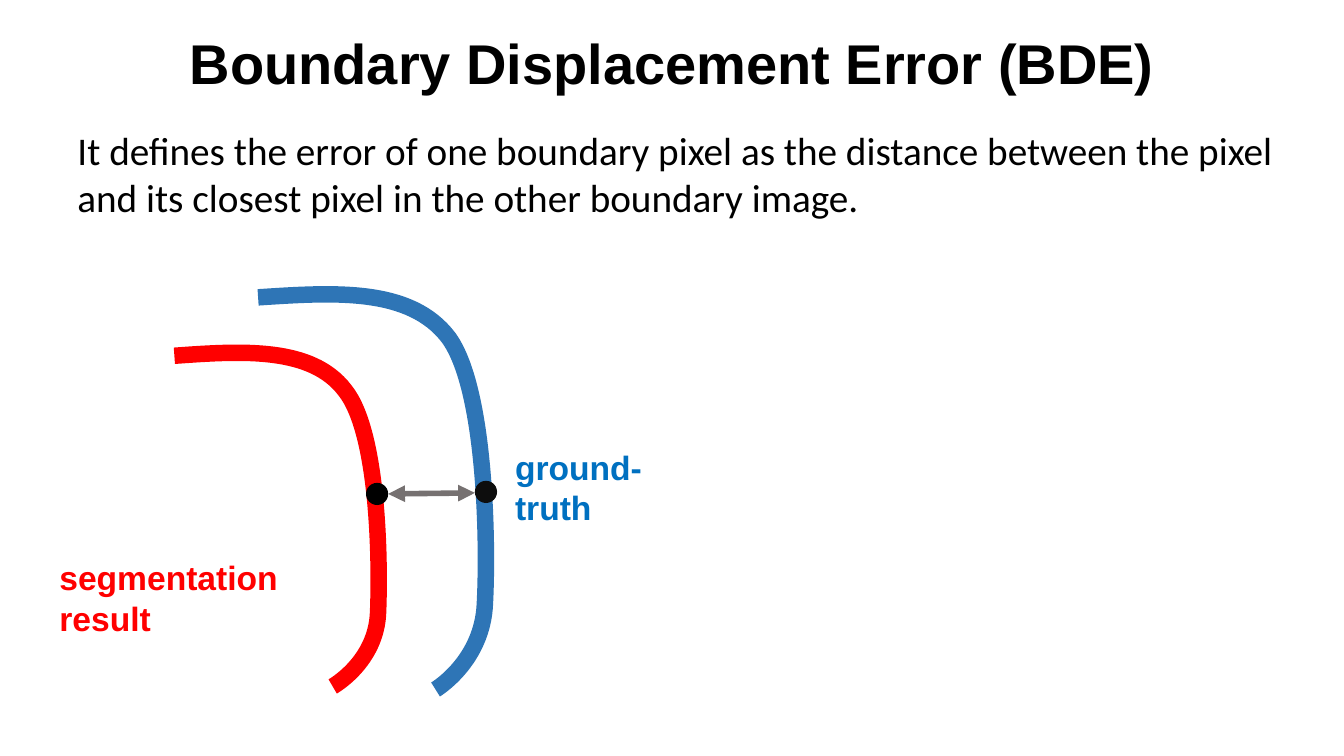
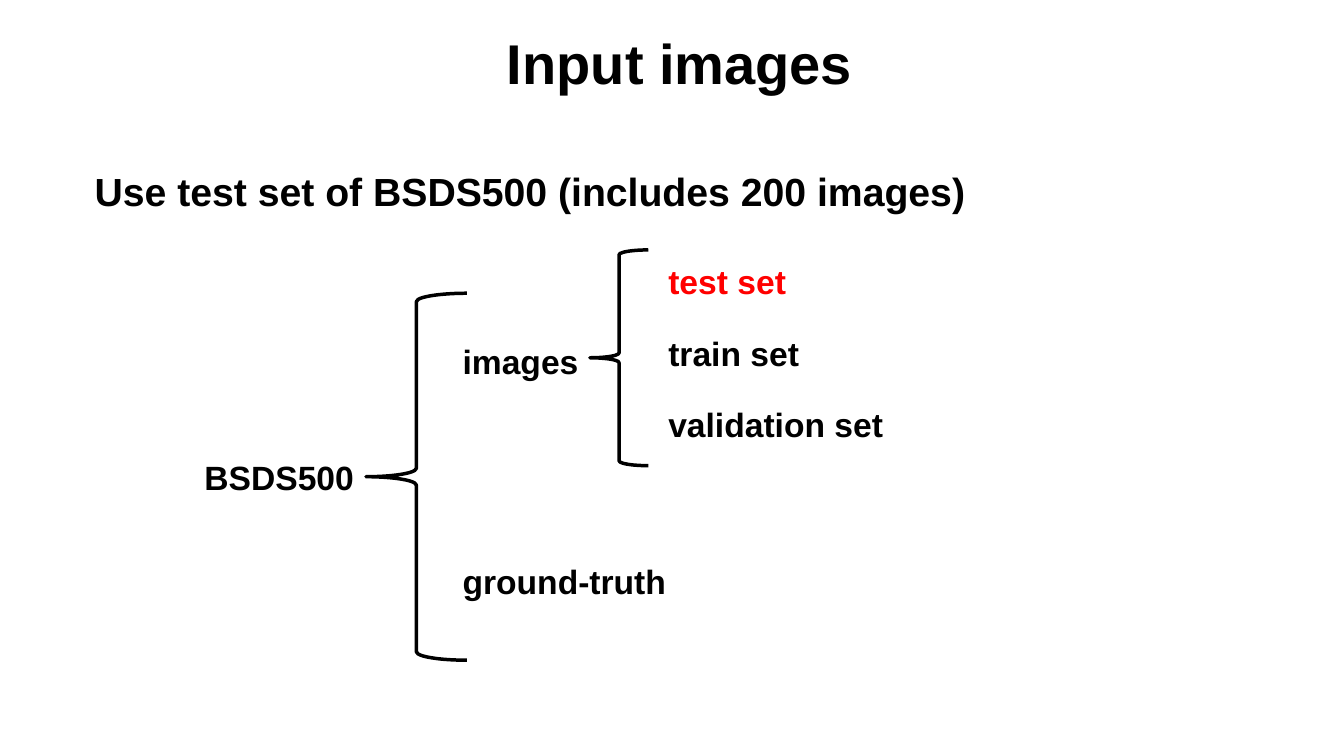
from pptx import Presentation
from pptx import util as u
from pptx.dml.color import RGBColor
from pptx.enum import shapes, text
from pptx.oxml.ns import qn
from lxml import etree

PX = 9144  # 100 px to the inch
BLACK, RED, BLUE = "000000", "FF0000", "0070C0"
STEEL, GREY, INK = "2E75B6", "767171", "0D0D0D"
Kind = shapes.MSO_SHAPE

deck = Presentation()
deck.slide_width, deck.slide_height = u.Emu(1333 * PX), u.Emu(750 * PX)


def rgb(code):
    return RGBColor.from_string(code)


def write(slide, words, x, y, w, h, size=24, font="Arial", color=BLACK,
          bold=True, center=False, wrap=True):
    box = slide.shapes.add_textbox(x * PX, y * PX, w * PX, h * PX)
    frame = box.text_frame
    frame.word_wrap = wrap
    para = frame.paragraphs[0]
    para.alignment = text.PP_ALIGN.CENTER if center else text.PP_ALIGN.LEFT
    run = para.add_run()
    run.text = words
    run.font.size, run.font.name, run.font.bold = u.Pt(size), font, bold
    run.font.color.rgb = rgb(color)


pages = []
for title in ("Boundary Displacement Error (BDE) ", "Input images"):
    page = deck.slides.add_slide(deck.slide_layouts[6])
    write(page, title, 144, 23, 1060, 77, size=40, center=True)
    pages.append(page)
error, images = pages

# Boundary Displacement Error
write(error, "It defines the error of one boundary pixel as the distance between "
      "the pixel and its closest pixel in the other boundary image.",
      67, 120, 1216, 104, size=28, font="Calibri", bold=False)

# Each curve: a start point, then three points for every Bézier segment
curves = [
    (RED, [(173, 353), (241, 348), (309, 344), (342, 387), (376, 429),
           (377, 559), (375, 608), (373, 657), (330, 681), (330, 681)]),
    (STEEL, [(256, 295), (332, 290), (407, 285), (445, 335), (482, 386),
             (484, 539), (481, 598), (479, 656), (432, 684), (432, 684)]),
]
for color, dots in curves:
    pen = error.shapes.build_freeform(*dots[0], scale=PX)
    pen.add_line_segments(dots[1:], close=False)
    curve = pen.convert_to_shape()
    curve.shadow.inherit = False
    curve.fill.background()
    curve.line.color.rgb = rgb(color)
    curve.line.width = u.Pt(11.75)
    steps = curve._element.findall(".//" + qn("a:lnTo"))
    for i in range(0, len(steps), 3):
        bend = etree.Element(qn("a:cubicBezTo"))
        steps[i].addprevious(bend)
        for step in steps[i:i + 3]:
            bend.append(step[0])
            step.getparent().remove(step)

for x, y, color in ((363, 479, BLACK), (471, 477, INK)):
    dot = error.shapes.add_shape(Kind.OVAL, x * PX, y * PX, 22 * PX, 22 * PX)
    dot.shadow.inherit = False
    dot.fill.solid()
    dot.fill.fore_color.rgb = rgb(color)
    dot.line.fill.background()

write(error, "segmentation result", 49, 548, 312, 50, color=RED)
write(error, "ground-truth", 501, 438, 205, 50, color=BLUE)

gap = error.shapes.add_connector(shapes.MSO_CONNECTOR.STRAIGHT,
                                 385 * PX, 490 * PX, 471 * PX, 489 * PX)
gap.line.color.rgb = rgb(GREY)
gap.line.width = u.Pt(4)
for end in ("a:headEnd", "a:tailEnd"):
    etree.SubElement(gap.line._get_or_add_ln(), qn(end), type="triangle")
etree.SubElement(gap._element.spPr, qn("a:effectLst"))

# Input images
write(images, "Use test set of BSDS500 (includes 200 images)",
      84, 161, 1180, 104, size=28)

for x, y, w, h in ((363, 291, 100, 364), (585, 248, 58, 214)):
    brace = images.shapes.add_shape(Kind.LEFT_BRACE, x * PX, y * PX, w * PX, h * PX)
    brace.shadow.inherit = False
    brace.fill.background()
    brace.line.color.rgb = rgb(BLACK)
    brace.line.width = u.Pt(2.5)

for words, x, y, w, color in (
    ("BSDS500", 193, 448, 170, BLACK),
    ("images", 449, 333, 136, BLACK),
    ("ground-truth", 449, 552, 224, BLACK),
    ("test set", 653, 254, 138, RED),
    ("train set", 653, 325, 151, BLACK),
    ("validation set", 653, 396, 235, BLACK),
):
    write(images, words, x, y, w, 50, color=color, wrap=False)

deck.save("out.pptx")
